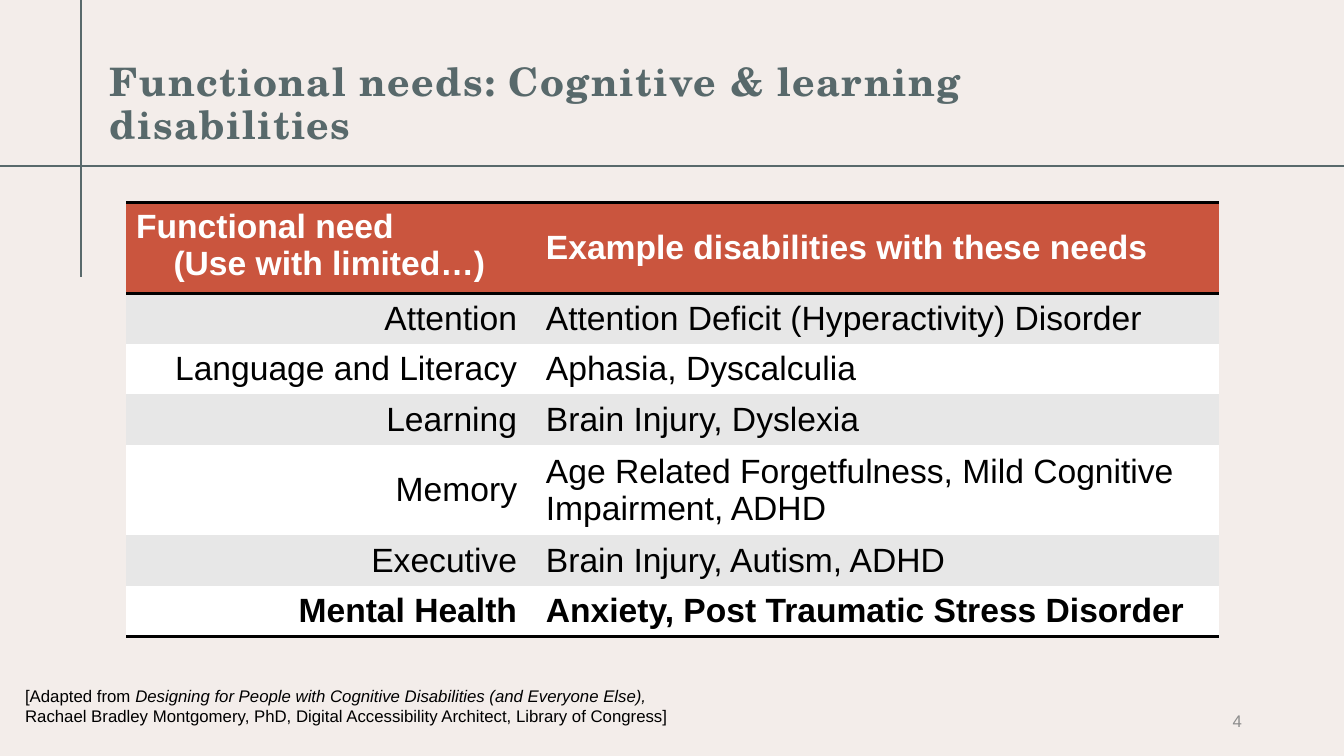
import collections
import dataclasses

import lxml.etree
import pptx
import pptx.dml.color
import pptx.enum.shapes
import pptx.enum.text
import pptx.oxml.ns
import pptx.util

WIDE, HIGH = pptx.util.Inches(13.33), pptx.util.Inches(7.5)
ALIGN = pptx.enum.text.PP_ALIGN
MID = pptx.enum.text.MSO_ANCHOR.MIDDLE
TOP = pptx.enum.text.MSO_ANCHOR.TOP
BARE_GRID = "{2D5ABB26-0587-4C30-8999-92F81FD0307C}"

# Lengths count columns and rows of a grid of 100 by 100.
Box = collections.namedtuple("Box", "left top width height")


@dataclasses.dataclass(frozen=True)
class Theme:
    back: str = "F3EDEA"
    slate: str = "58696B"
    head: str = "CA553E"
    band: str = "E7E7E7"
    white: str = "FFFFFF"
    black: str = "000000"
    pale: str = "8C8C8C"
    title_font: str = "TeX Gyre Schola"
    font: str = "Arial"
    title: int = 28
    body: int = 24
    small: int = 12
    rule: float = 1.5
    edge: int = 2


THEME = Theme()

HEADS = (["Functional need", "(Use with limited…)"],
         ["Example disabilities with these needs"])
NEEDS = [
    ("Attention", ["Attention Deficit (Hyperactivity) Disorder"]),
    ("Language and Literacy", ["Aphasia, Dyscalculia"]),
    ("Learning", ["Brain Injury, Dyslexia"]),
    ("Memory", ["Age Related Forgetfulness, Mild Cognitive",
                "Impairment, ADHD"]),
    ("Executive", ["Brain Injury, Autism, ADHD"]),
    ("Mental Health", ["Anxiety, Post Traumatic Stress Disorder"]),
]


def col(n):
    return round(WIDE * n / 100)


def row(n):
    return round(HIGH * n / 100)


def place(box):
    return col(box.left), row(box.top), col(box.width), row(box.height)


def rgb(code):
    return pptx.dml.color.RGBColor.from_string(code)


def child(parent, tag, **marks):
    return lxml.etree.SubElement(parent, pptx.oxml.ns.qn(tag), **marks)


def add_run(para, text, size, color, font=THEME.font, bold=False, slant=False):
    run = para.add_run()
    run.text = text
    run.font.name, run.font.size = font, pptx.util.Pt(size)
    run.font.bold, run.font.italic = bold, slant
    run.font.color.rgb = rgb(color)
    return run


def add_rules(slide, box):
    """Cross two lines: one along the foot of the box, one at its left."""
    foot = row(box.top + box.height)
    ends = [(0, foot, WIDE, foot),
            (col(box.left), 0, col(box.left), row(36.67))]
    for end in ends:
        line = slide.shapes.add_connector(
            pptx.enum.shapes.MSO_CONNECTOR.STRAIGHT, *end)
        line.line.color.rgb = rgb(THEME.slate)
        line.line.width = pptx.util.Pt(THEME.rule)
        child(line._element.spPr, "a:effectLst")


def set_title(slide, box, text):
    title = slide.shapes.title
    title.left, title.top, title.width, title.height = place(box)
    frame = title.text_frame
    frame.word_wrap, frame.vertical_anchor = True, MID
    frame.auto_size = pptx.enum.text.MSO_AUTO_SIZE.NONE
    para = frame.paragraphs[0]
    para.alignment, para.line_spacing = ALIGN.LEFT, 0.9
    run = add_run(para, text, THEME.title, THEME.slate,
                  THEME.title_font, bold=True)
    run._r.get_or_add_rPr().set("spc", "100")


def add_text(slide, box, runs, color, align=ALIGN.LEFT, anchor=TOP):
    """Add one small paragraph from (text, italic) pairs."""
    frame = slide.shapes.add_textbox(*place(box)).text_frame
    frame.word_wrap, frame.vertical_anchor = True, anchor
    para = frame.paragraphs[0]
    para.alignment = align
    for text, slant in runs:
        add_run(para, text, THEME.small, color, slant=slant)


def set_edges(cell, sides):
    """Draw black borders on the sides named; they must precede the fill."""
    props = cell._tc.get_or_add_tcPr()
    for side in sides:
        line = child(props, "a:ln" + side,
                     w=str(pptx.util.Pt(THEME.edge)))
        child(child(line, "a:solidFill"), "a:srgbClr", val=THEME.black)


def fill_cell(cell, lines, fill, color, bold, align, anchor=MID, sides=""):
    set_edges(cell, sides)
    cell.fill.solid()
    cell.fill.fore_color.rgb = rgb(fill)
    cell.vertical_anchor = anchor
    frame = cell.text_frame
    for i, text in enumerate(lines):
        para = frame.add_paragraph() if i else frame.paragraphs[0]
        para.alignment = align
        add_run(para, text, THEME.body, color, bold=bold)


def add_table(slide, box):
    count = len(NEEDS) + 1
    table = slide.shapes.add_table(count, 2, *place(box)).table
    props = table._tbl.tblPr
    props.find(pptx.oxml.ns.qn("a:tableStyleId")).text = BARE_GRID
    table.horz_banding = False
    first = round(box.width * 0.367, 2)
    table.columns[0].width = col(first)
    table.columns[1].width = col(box.width - first)

    for j, lines in enumerate(HEADS):
        fill_cell(table.cell(0, j), lines, THEME.head, THEME.white, True,
                  ALIGN.LEFT, MID if j else TOP, "TB")
    inset = table.cell(0, 0).text_frame.paragraphs[1]
    inset._p.get_or_add_pPr().set("marL", str(col(2.78)))

    for i, (need, cases) in enumerate(NEEDS, 1):
        last = i == count - 1
        fill = THEME.band if i % 2 else THEME.white
        for j, lines in enumerate(([need], cases)):
            fill_cell(table.cell(i, j), lines, fill, THEME.black, last,
                      ALIGN.LEFT if j else ALIGN.RIGHT,
                      sides="B" if last else "")

    for i in range(count):
        table.cell(i, 1).margin_left = col(1.4)
        tall = i == 0 or len(NEEDS[i - 1][1]) > 1
        table.rows[i].height = row(12 if tall else 6.67)


def build(deck):
    slide = deck.slides.add_slide(deck.slide_layouts[5])
    slide.background.fill.solid()
    slide.background.fill.fore_color.rgb = rgb(THEME.back)
    add_rules(slide, Box(6.05, 0, 93.95, 22))
    set_title(slide, Box(7.43, 10.53, 79.65, 6.8),
              "Functional needs: Cognitive & learning disabilities")
    add_text(slide, Box(1.13, 90, 49.57, 6.67), [
        ("[Adapted from ", False),
        ("Designing for People with Cognitive Disabilities "
         "(and Everyone Else), ", True),
        ("Rachael Bradley Montgomery, PhD, Digital Accessibility "
         "Architect, Library of Congress]", False),
    ], THEME.black)
    add_text(slide, Box(70.65, 92.67, 22.5, 5.33), [("4", False)],
             THEME.pale, ALIGN.RIGHT, MID)
    add_table(slide, Box(9.38, 26.8, 81.3, 57.33))


def main():
    deck = pptx.Presentation()
    deck.slide_width, deck.slide_height = WIDE, HIGH
    build(deck)
    deck.save("out.pptx")


if __name__ == "__main__":
    main()
